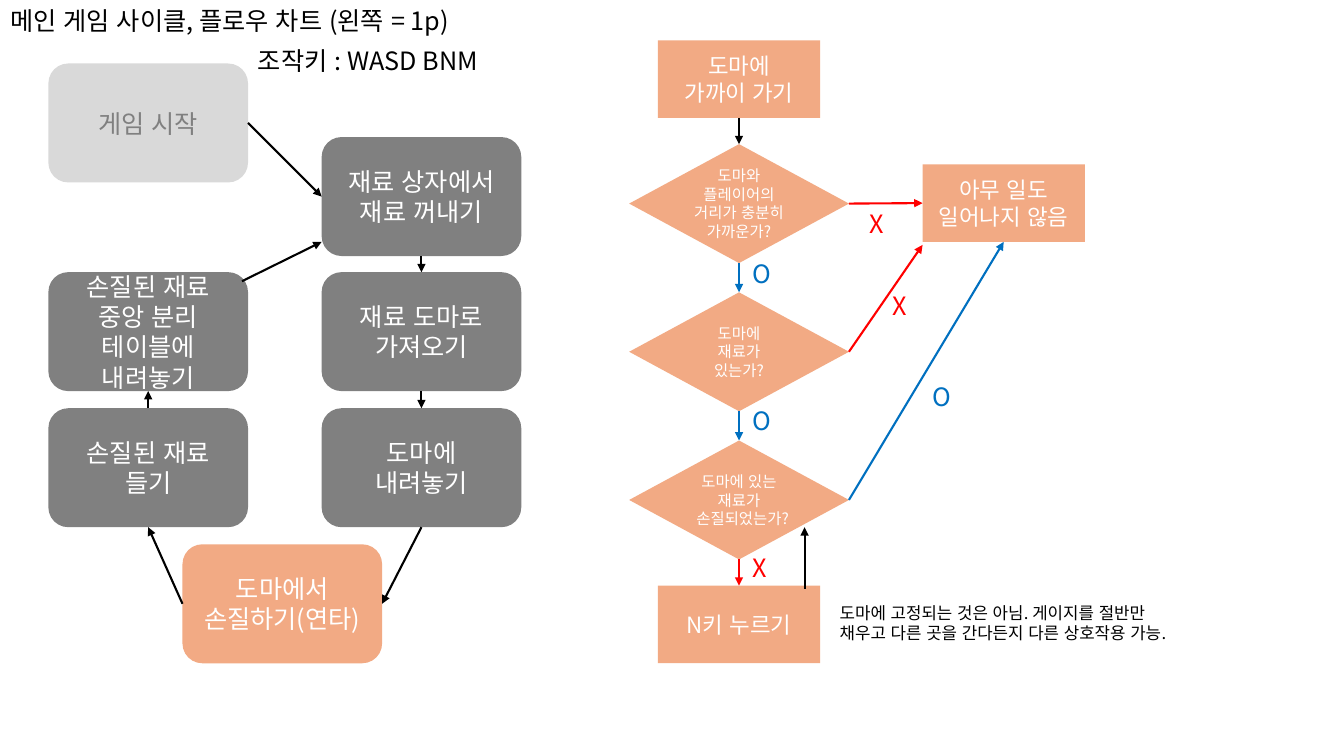
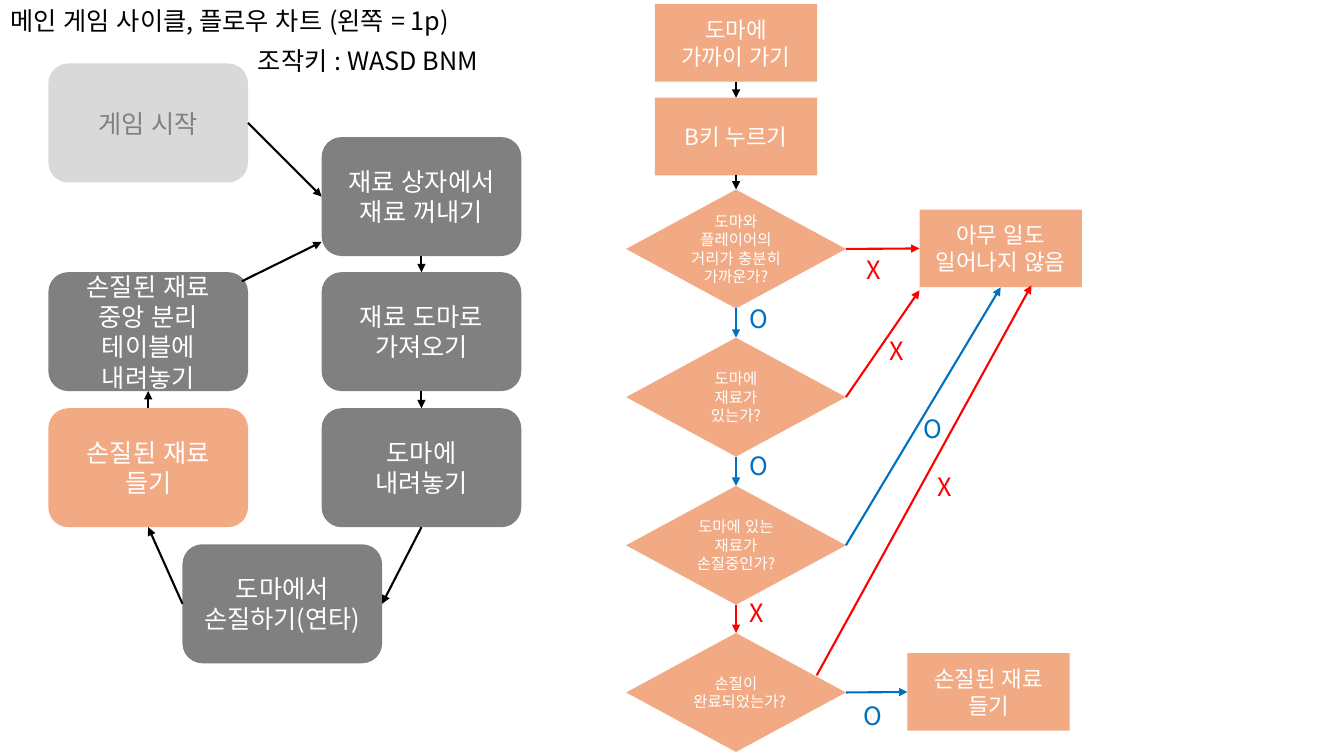
"""Build two slides pairing the main game cycle with a flow chart of one step."""
from dataclasses import dataclass
from typing import NamedTuple

import lxml.etree
import pptx
import pptx.dml.color
import pptx.enum.lang
import pptx.enum.shapes
import pptx.enum.text
import pptx.oxml.ns
import pptx.presentation
import pptx.shapes.autoshape
import pptx.slide
import pptx.text.text
import pptx.util

Inches = pptx.util.Inches
Kind = pptx.enum.shapes.MSO_SHAPE
Align = pptx.enum.text.PP_ALIGN
Anchor = pptx.enum.text.MSO_ANCHOR
AutoSize = pptx.enum.text.MSO_AUTO_SIZE
qn = pptx.oxml.ns.qn

FONT = "Noto Sans CJK KR"
COLORS = {
    "black": "000000",
    "white": "FFFFFF",
    "gray": "808080",
    "pale": "D9D9D9",
    "orange": "F2AA84",
    "no": "FF0000",
    "yes": "0070C0",
}
TOP, LEFT, BOTTOM, RIGHT = range(4)
LEFT_COLUMN, RIGHT_COLUMN = 0.48, 3.19
ROW_TOPS = [1.36, 2.7, 4.05, 5.4]
DECISION_STEP = 1.47
ANSWER_STEP = 1.46


class Style(NamedTuple):
    kind: Kind
    width: float
    height: float
    size: int


STAGE = Style(Kind.ROUNDED_RECTANGLE, 1.98, 1.18, 18)
ACTION = Style(Kind.RECTANGLE, 1.61, 0.77, 16)
DECISION = Style(Kind.DIAMOND, 2.18, 1.18, 11)


@dataclass
class Box:
    key: str
    text: str
    left: float
    top: float
    style: Style
    fill: str = "orange"
    color: str = "white"


class Joint(NamedTuple):
    box: str
    side: int


class Point(NamedTuple):
    x: float
    y: float


@dataclass
class Arrow:
    start: Joint | Point
    end: Joint | Point
    color: str = "black"


@dataclass
class Label:
    text: str
    left: float
    top: float
    color: str = "black"
    width: float = 0.5
    height: float = 0.4
    size: int = 18


@dataclass
class Chart:
    boxes: list[Box]
    arrows: list[Arrow]
    labels: list[Label]


CYCLE_BOXES = [
    Box("start", "게임 시작", LEFT_COLUMN, 0.63, STAGE, "pale", "gray"),
    Box("take", "재료 상자에서\n재료 꺼내기", RIGHT_COLUMN, ROW_TOPS[0], STAGE, "gray"),
    Box("bring", "재료 도마로 가져오기", RIGHT_COLUMN, ROW_TOPS[1], STAGE, "gray"),
    Box("place", "도마에\n내려놓기", RIGHT_COLUMN, ROW_TOPS[2], STAGE, "gray"),
    Box("chop", "도마에서\n손질하기(연타)", 1.81, ROW_TOPS[3], STAGE, "gray"),
    Box("hold", "손질된 재료\n들기", LEFT_COLUMN, ROW_TOPS[2], STAGE, "gray"),
    Box("drop", "손질된 재료 중앙 분리\n테이블에\n내려놓기",
        LEFT_COLUMN, ROW_TOPS[1], STAGE, "gray"),
]
CYCLE_ARROWS = [
    Arrow(Joint("start", RIGHT), Joint("take", LEFT)),
    Arrow(Joint("take", BOTTOM), Joint("bring", TOP)),
    Arrow(Joint("bring", BOTTOM), Joint("place", TOP)),
    Arrow(Joint("place", BOTTOM), Joint("chop", RIGHT)),
    Arrow(Joint("chop", LEFT), Joint("hold", BOTTOM)),
    Arrow(Joint("hold", TOP), Joint("drop", BOTTOM)),
    Arrow(Point(2.4, 2.79), Point(3.19, 2.4)),
]


def centered(key: str, text: str, axis: float, top: float, style: Style) -> Box:
    return Box(key, text, axis - style.width / 2, top, style)


def decision_chart(axis: float, top: float, third_question: str) -> Chart:
    questions = {
        "near": "도마와\n플레이어의\n거리가 충분히 가까운가?",
        "filled": "도마에\n재료가\n있는가?",
        "third": third_question,
    }
    boxes = [centered(key, text, axis, top + DECISION_STEP * row, DECISION)
             for row, (key, text) in enumerate(questions.items())]
    boxes.append(Box("nothing", "아무 일도\n일어나지 않음", axis + 1.82, top + 0.2, ACTION))
    arrows = [
        Arrow(Joint("near", RIGHT), Joint("nothing", LEFT), "no"),
        Arrow(Joint("filled", RIGHT), Point(axis + 1.82, top + 1), "no"),
        Arrow(Joint("third", RIGHT), Joint("nothing", BOTTOM), "yes"),
        Arrow(Joint("near", BOTTOM), Joint("filled", TOP), "yes"),
        Arrow(Joint("filled", BOTTOM), Joint("third", TOP), "yes"),
        Arrow(Joint("third", BOTTOM), Joint("result", TOP), "no"),
    ]
    labels = [Label("X", axis + 1.2, top + 0.59, "no"),
              Label("X", axis + 1.42, top + 1.4, "no")]
    for row, (text, color) in enumerate([("O", "yes"), ("O", "yes"), ("X", "no")]):
        labels.append(Label(text, axis + 0.04, top + 1.08 + ANSWER_STEP * row, color))
    return Chart(boxes, arrows, labels)


def chop_chart() -> Chart:
    axis = 7.33
    chart = decision_chart(axis, 1.43, "도마에 있는\n재료가 손질되었는가?")
    chart.boxes += [
        centered("approach", "도마에\n가까이 가기", axis, 0.4, ACTION),
        centered("result", "N키 누르기", axis, 5.81, ACTION),
    ]
    chart.arrows += [
        Arrow(Joint("approach", BOTTOM), Joint("near", TOP)),
        Arrow(Point(7.98, 5.84), Point(7.98, 5.23)),
    ]
    chart.labels += [
        Label("O", 9.15, 3.73, "yes"),
        Label("도마에 고정되는 것은 아님. 게이지를 절반만\n채우고 다른 곳을 간다든지 다른 상호작용 가능.",
              8.23, 5.93, width=3.76, height=0.5, size=12),
    ]
    return chart


def hold_chart() -> Chart:
    axis = 7.3
    chart = decision_chart(axis, 1.88, "도마에 있는\n재료가 손질중인가?")
    chart.boxes += [
        centered("approach", "도마에\n가까이 가기", axis, 0.04, ACTION),
        centered("press", "B키 누르기", axis, 0.97, ACTION),
        centered("result", "손질이 완료되었는가?", axis, 6.28, DECISION),
        Box("pick", "손질된 재료\n들기", 9, 6.48, ACTION),
    ]
    chart.arrows += [
        Arrow(Joint("approach", BOTTOM), Joint("press", TOP)),
        Arrow(Joint("press", BOTTOM), Joint("near", TOP)),
        Arrow(Joint("result", RIGHT), Joint("pick", LEFT), "yes"),
        Arrow(Point(8.1, 6.7), Point(10.23, 2.83), "no"),
    ]
    chart.labels += [
        Label("O", 9.06, 4.05, "yes"),
        Label("X", 9.2, 4.63, "no"),
        Label("O", 8.47, 6.9, "yes"),
    ]
    return chart


def rgb(name: str) -> pptx.dml.color.RGBColor:
    return pptx.dml.color.RGBColor.from_string(COLORS[name])


def write(frame: pptx.text.text.TextFrame, text: str, size: int, color: str,
          align: Align = Align.LEFT, anchor: Anchor = Anchor.TOP) -> None:
    frame.text = text
    frame.word_wrap = True
    frame.vertical_anchor = anchor
    for paragraph in frame.paragraphs:
        paragraph.alignment = align
        paragraph.font.name = FONT
        paragraph.font.size = pptx.util.Pt(size)
        paragraph.font.color.rgb = rgb(color)
        paragraph.font.language_id = pptx.enum.lang.MSO_LANGUAGE_ID.KOREAN
        defaults = paragraph._p.pPr.find(qn("a:defRPr"))
        lxml.etree.SubElement(defaults, qn("a:ea"), typeface=FONT)


def add_title(slide: pptx.slide.Slide) -> None:
    title = slide.shapes.title
    title.left, title.top = Inches(0), Inches(0)
    title.width, title.height = Inches(4.92), Inches(0.4)
    write(title.text_frame, "메인 게임 사이클, 플로우 차트 (왼쪽 = 1p)", 18, "black")
    title.text_frame.auto_size = AutoSize.NONE


def add_box(slide: pptx.slide.Slide, box: Box, fill: str) -> pptx.shapes.autoshape.Shape:
    style = box.style
    shape = slide.shapes.add_shape(style.kind, Inches(box.left), Inches(box.top),
                                   Inches(style.width), Inches(style.height))
    shape.shadow.inherit = False
    shape.fill.solid()
    shape.fill.fore_color.rgb = rgb(fill)
    shape.line.fill.background()
    write(shape.text_frame, box.text, style.size, box.color, Align.CENTER, Anchor.MIDDLE)
    return shape


def add_arrow(slide: pptx.slide.Slide, arrow: Arrow,
              shapes: dict[str, pptx.shapes.autoshape.Shape]) -> None:
    ends = [end if isinstance(end, Point) else Point(0, 0)
            for end in (arrow.start, arrow.end)]
    connector = slide.shapes.add_connector(
        pptx.enum.shapes.MSO_CONNECTOR.STRAIGHT,
        *(Inches(value) for end in ends for value in end))
    if isinstance(arrow.start, Joint):
        connector.begin_connect(shapes[arrow.start.box], arrow.start.side)
    if isinstance(arrow.end, Joint):
        connector.end_connect(shapes[arrow.end.box], arrow.end.side)
    connector.line.color.rgb = rgb(arrow.color)
    connector.line.width = pptx.util.Pt(1.5)
    properties = connector._element.spPr
    lxml.etree.SubElement(properties.find(qn("a:ln")), qn("a:tailEnd"), type="triangle")
    lxml.etree.SubElement(properties, qn("a:effectLst"))


def add_label(slide: pptx.slide.Slide, label: Label) -> None:
    box = slide.shapes.add_textbox(Inches(label.left), Inches(label.top),
                                   Inches(label.width), Inches(label.height))
    write(box.text_frame, label.text, label.size, label.color)
    box.text_frame.auto_size = AutoSize.SHAPE_TO_FIT_TEXT


def add_step_slide(presentation: pptx.presentation.Presentation,
                   current: str, chart: Chart) -> None:
    slide = presentation.slides.add_slide(presentation.slide_layouts[5])
    add_title(slide)
    add_label(slide, Label("조작키 : WASD BNM", 2.46, 0.4, width=2.66))
    shapes = {box.key: add_box(slide, box, "orange" if box.key == current else box.fill)
              for box in CYCLE_BOXES + chart.boxes}
    for arrow in CYCLE_ARROWS + chart.arrows:
        add_arrow(slide, arrow, shapes)
    for label in chart.labels:
        add_label(slide, label)


def main() -> None:
    presentation = pptx.Presentation()
    presentation.slide_width, presentation.slide_height = Inches(13.33), Inches(7.5)
    add_step_slide(presentation, "chop", chop_chart())
    add_step_slide(presentation, "hold", hold_chart())
    presentation.save("out.pptx")


if __name__ == "__main__":
    main()
